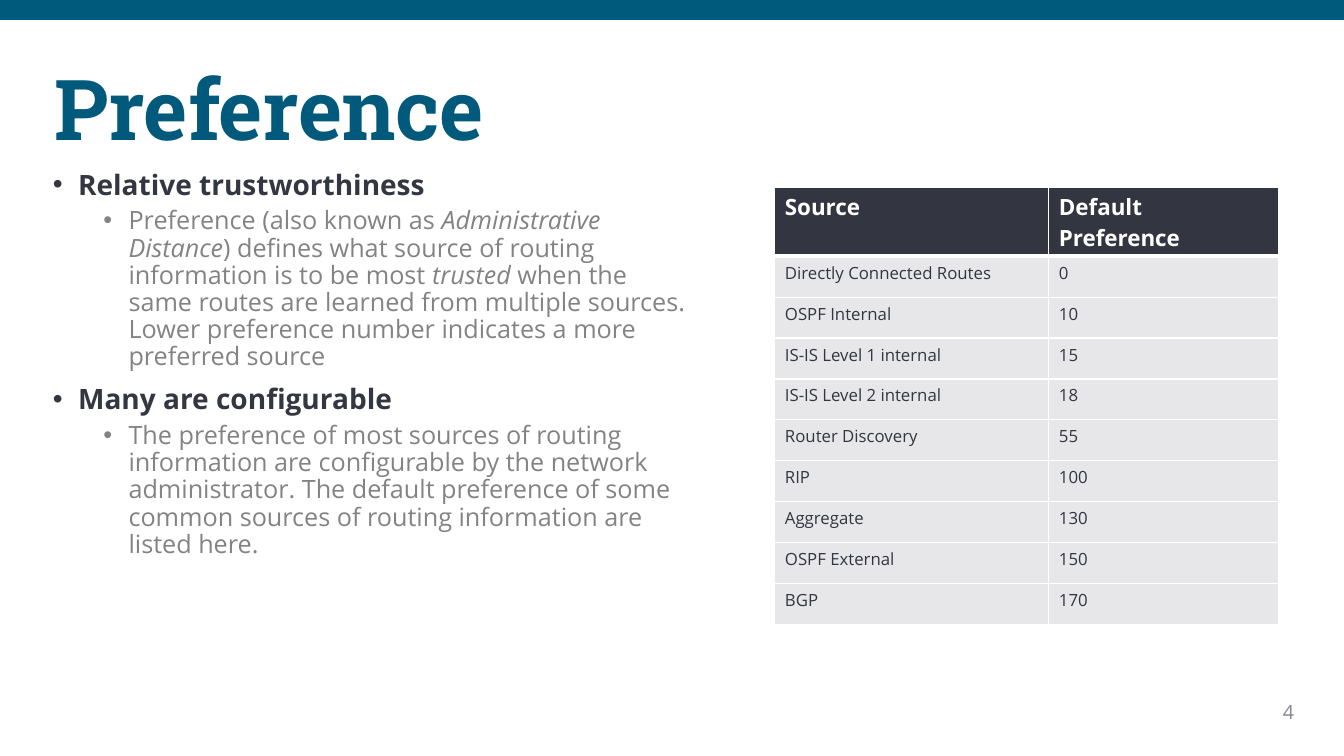
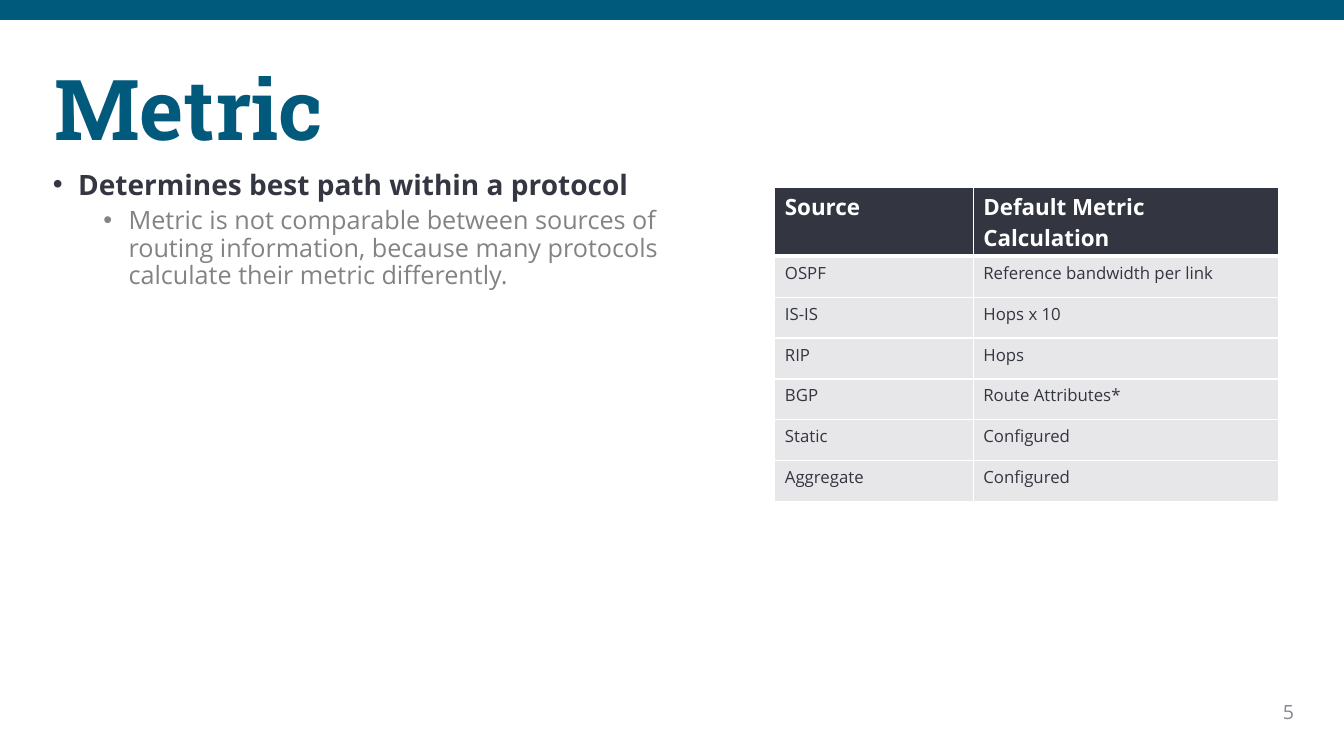
from lxml import etree
from pptx import Presentation
from pptx.dml.color import RGBColor
from pptx.enum.shapes import MSO_SHAPE
from pptx.enum.text import MSO_ANCHOR, MSO_AUTO_SIZE, PP_ALIGN
from pptx.oxml.ns import qn
from pptx.util import Emu, Pt

PX = 9525  # EMU per px, 96 px to the inch
SLIDE_WIDTH, SLIDE_HEIGHT = 1280, 720
TITLE_ONLY = 5
COLORS = {
    "band": "005A7C",
    "title": "015A7C",
    "heading": "343741",
    "detail": "838383",
    "number": "858891",
    "table": "333641",
    "row": "E7E7E9",
    "white": "FFFFFF",
}
BODY_FONT, TITLE_FONT = "Open Sans", "Roboto Slab"

# Regions: left, top, width, height
BAND_BOX = (0, 0, SLIDE_WIDTH, 19)
TITLE_BOX = (42, 38, 1192, 139)
NUMBER_BOX = (1181, 662, 61, 33)
BODY_LEFT, BODY_TOP, BODY_WIDTH = 41, 158, 629
TABLE_LEFT, TABLE_TOP = 738, 178
HEADER_HEIGHT, ROW_HEIGHT = 66, 39

# Per level: size, colour, bold, left indent in px, space before in points
LEVELS = [
    (20, "heading", True, 24, 10),
    (18, "detail", False, 72, 5),
]
BULLET_HANG = 24

SLIDES = [
    {
        "number": 4,
        "title": "Preference",
        "body_height": 445,
        # Level and text; *...* marks italics
        "bullets": [
            (0, "Relative trustworthiness"),
            (1, "Preference (also known as *Administrative Distance*) defines what "
                "source of routing information is to be most *trusted* when the same "
                "routes are learned from multiple sources. Lower preference number "
                "indicates a more preferred source"),
            (0, "Many are configurable"),
            (1, "The preference of most sources of routing information are "
                "configurable by the network administrator. The default preference "
                "of some common sources of routing information are listed here."),
        ],
        "columns": (261, 219),
        "rows": [
            ("Source", "Default Preference"),
            ("Directly Connected Routes", "0"),
            ("OSPF Internal", "10"),
            ("IS-IS Level 1 internal", "15"),
            ("IS-IS Level 2 internal", "18"),
            ("Router Discovery", "55"),
            ("RIP", "100"),
            ("Aggregate", "130"),
            ("OSPF External", "150"),
            ("BGP", "170"),
        ],
    },
    {
        "number": 5,
        "title": "Metric",
        "body_height": 312,
        "bullets": [
            (0, "Determines best path within a protocol"),
            (1, "Metric is not comparable between sources of routing information, "
                "because many protocols calculate their metric differently."),
        ],
        "columns": (189, 291),
        "rows": [
            ("Source", "Default Metric Calculation"),
            ("OSPF", "Reference bandwidth per link"),
            ("IS-IS", "Hops x 10"),
            ("RIP", "Hops"),
            ("BGP", "Route Attributes*"),
            ("Static", "Configured"),
            ("Aggregate", "Configured"),
        ],
    },
]


def px(length):
    return Emu(length * PX)


def to_emu(box):
    return [px(length) for length in box]


def color(name):
    return RGBColor.from_string(COLORS[name])


def style_runs(paragraph, size, color_name, bold=False, font=BODY_FONT):
    for run in paragraph.runs:
        run.font.name = font
        run.font.size = Pt(size)
        run.font.bold = bold
        run.font.color.rgb = color(color_name)


def add_band(slide, box):
    band = slide.shapes.add_shape(MSO_SHAPE.RECTANGLE, *to_emu(box))
    band.shadow.inherit = False
    band.fill.solid()
    band.fill.fore_color.rgb = color("band")
    band.line.fill.background()


def add_number(slide, box, number):
    text_frame = slide.shapes.add_textbox(*to_emu(box)).text_frame
    text_frame.word_wrap = True
    text_frame.text = str(number)
    paragraph = text_frame.paragraphs[0]
    paragraph.alignment = PP_ALIGN.RIGHT
    style_runs(paragraph, 14, "number")


def place_title(slide, box, text):
    title = slide.shapes.title
    title.left, title.top, title.width, title.height = to_emu(box)
    text_frame = title.text_frame
    text_frame.auto_size = MSO_AUTO_SIZE.NONE
    text_frame.vertical_anchor = MSO_ANCHOR.MIDDLE
    text_frame.text = text
    paragraph = text_frame.paragraphs[0]
    paragraph.alignment = PP_ALIGN.LEFT
    paragraph.line_spacing = 0.9
    style_runs(paragraph, 60, "title", True, TITLE_FONT)


def set_bullet(paragraph, indent):
    properties = paragraph._p.get_or_add_pPr()
    properties.set("marL", str(px(indent)))
    properties.set("indent", str(-px(BULLET_HANG)))
    etree.SubElement(properties, qn("a:buFont"), typeface="Arial")
    etree.SubElement(properties, qn("a:buChar"), char="•")


def add_bullets(slide, box, bullets):
    text_frame = slide.shapes.add_textbox(*to_emu(box)).text_frame
    text_frame.word_wrap = True
    for index, (level, text) in enumerate(bullets):
        paragraph = text_frame.add_paragraph() if index else text_frame.paragraphs[0]
        size, color_name, bold, indent, space_before = LEVELS[level]
        paragraph.level = level
        paragraph.line_spacing = 0.9
        paragraph.space_before = Pt(space_before)
        set_bullet(paragraph, indent)
        for part, segment in enumerate(text.split("*")):
            run = paragraph.add_run()
            run.text = segment
            run.font.italic = part % 2 == 1
        style_runs(paragraph, size, color_name, bold)


def set_borders(cell, top, bottom):
    properties = cell._tc.get_or_add_tcPr()
    for side, width in (("L", 1), ("R", 1), ("T", top), ("B", bottom)):
        line = etree.SubElement(properties, qn(f"a:ln{side}"), w=str(Pt(width)))
        fill = etree.SubElement(line, qn("a:solidFill"))
        etree.SubElement(fill, qn("a:srgbClr"), val=COLORS["white"])


def add_source_table(slide, left, top, columns, rows):
    height = HEADER_HEIGHT + ROW_HEIGHT * (len(rows) - 1)
    box = to_emu((left, top, sum(columns), height))
    table = slide.shapes.add_table(len(rows), len(columns), *box).table
    table.horz_banding = False
    for column, width in zip(table.columns, columns):
        column.width = px(width)
    for row_index, texts in enumerate(rows):
        header = row_index == 0
        table.rows[row_index].height = px(HEADER_HEIGHT if header else ROW_HEIGHT)
        for cell, text in zip(table.rows[row_index].cells, texts):
            # The rule below the header is thicker than the others
            set_borders(cell, 3 if row_index == 1 else 1, 3 if header else 1)
            cell.fill.solid()
            cell.fill.fore_color.rgb = color("table" if header else "row")
            cell.text_frame.text = text
            style_runs(cell.text_frame.paragraphs[0], 16 if header else 12,
                       "white" if header else "table", header)


def add_topic_slide(presentation, topic):
    slide = presentation.slides.add_slide(presentation.slide_layouts[TITLE_ONLY])
    add_band(slide, BAND_BOX)
    add_number(slide, NUMBER_BOX, topic["number"])
    place_title(slide, TITLE_BOX, topic["title"])
    body_box = (BODY_LEFT, BODY_TOP, BODY_WIDTH, topic["body_height"])
    add_bullets(slide, body_box, topic["bullets"])
    add_source_table(slide, TABLE_LEFT, TABLE_TOP, topic["columns"], topic["rows"])


def main():
    presentation = Presentation()
    presentation.slide_width = px(SLIDE_WIDTH)
    presentation.slide_height = px(SLIDE_HEIGHT)
    for topic in SLIDES:
        add_topic_slide(presentation, topic)
    presentation.save("out.pptx")


if __name__ == "__main__":
    main()
